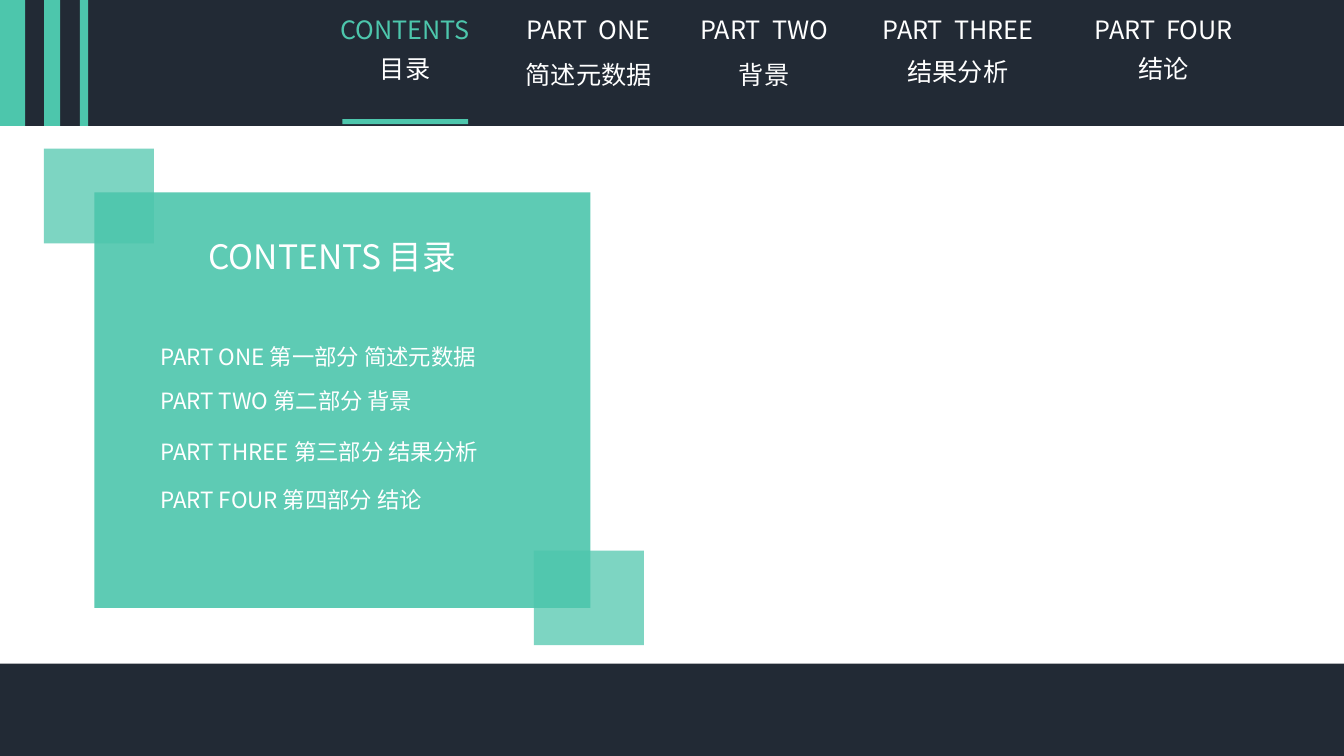
import pptx
import pptx.dml.color
import pptx.enum.shapes
import pptx.enum.text
import pptx.oxml.ns
import pptx.oxml.xmlchemy
import pptx.util

Pt = pptx.util.Pt
TEAL, DARK, WHITE = "4DC6AC", "222A35", "FFFFFF"
SANS, COMIC = "Noto Sans CJK SC", "Comic Neue"
ALIGN = pptx.enum.text.PP_ALIGN


def add_block(left, top, width, height, color, opacity=100):
    shape = slide.shapes.add_shape(
        pptx.enum.shapes.MSO_SHAPE.RECTANGLE, Pt(left), Pt(top), Pt(width), Pt(height))
    shape.shadow.inherit = False
    shape.line.fill.background()
    shape.fill.solid()
    shape.fill.fore_color.rgb = pptx.dml.color.RGBColor.from_string(color)
    if opacity < 100:
        color_element = shape.element.spPr.find(".//" + pptx.oxml.ns.qn("a:srgbClr"))
        alpha = pptx.oxml.xmlchemy.OxmlElement("a:alpha")
        alpha.set("val", str(opacity * 1000))
        color_element.append(alpha)


def add_run(paragraph, text, size, color=WHITE, name=SANS):
    run = paragraph.add_run()
    run.text = text
    run.font.color.rgb = pptx.dml.color.RGBColor.from_string(color)
    for attribute, value in {"size": Pt(size), "name": name, "bold": False}.items():
        setattr(run.font, attribute, value)
    east_asian = pptx.oxml.xmlchemy.OxmlElement("a:ea")
    east_asian.set("typeface", name)
    run._r.get_or_add_rPr().append(east_asian)


presentation = pptx.Presentation()
presentation.slide_width, presentation.slide_height = Pt(960), Pt(540)
slide = presentation.slides.add_slide(presentation.slide_layouts[1])
title, body = slide.shapes.title, slide.placeholders[1]

# Header and footer bands
add_block(0, 0, 960, 90, DARK)
add_block(0, 474, 960, 66, DARK)

# Stripes in the header and marker under the current section
for left, width in [(0, 18), (31.5, 11.5), (57, 6)]:
    add_block(left, 0, width, 90, TEAL)
add_block(244.5, 85, 90, 3.6, TEAL)

# Navigation: left, top, width, height, then name, color, spacing, label, spacing, font
sections = [
    (235.4, 0, 108, 64, "CONTENTS", TEAL, 1.3, "目录", 1.3, SANS),
    (366.5, -4.3, 108, 73, "PART  ONE", WHITE, 1.5, "简述元数据", 1.5, COMIC),
    (491.8, 0, 108, 96, "PART  TWO", WHITE, 1.3, "背景", 1.5, SANS),
    (617.8, 0, 133, 94, "PART  THREE", WHITE, 1.3, "结果分析", 1.4, SANS),
    (769, 0, 124.5, 92, "PART  FOUR", WHITE, 1.3, "结论", 1.3, SANS),
]
for left, top, width, height, name, color, spacing, label, label_spacing, font in sections:
    box = slide.shapes.add_textbox(Pt(left), Pt(top), Pt(width), Pt(height))
    frame = box.text_frame
    frame.word_wrap = True
    frame.auto_size = pptx.enum.text.MSO_AUTO_SIZE.SHAPE_TO_FIT_TEXT
    first, second = frame.paragraphs[0], frame.add_paragraph()
    for paragraph, line_spacing in [(first, spacing), (second, label_spacing)]:
        paragraph.alignment = ALIGN.CENTER
        paragraph.line_spacing = line_spacing
    add_run(first, name, 18, color)
    add_run(second, label, 18, WHITE, font)

# Contents panel with two corner squares
add_block(67.4, 137.4, 354.3, 296.8, TEAL, 90)
for left, top in [(381.4, 393.3), (31.4, 106.2)]:
    add_block(left, top, 78.5, 67.6, TEAL, 73)

# Title and list placeholders, brought in front of the panel
for placeholder, left, top, width, height in [
        (title, 141.8, 164.9, 206, 36), (body, 107.3, 241.2, 296, 146)]:
    bounds = {"left": left, "top": top, "width": width, "height": height}
    for attribute, value in bounds.items():
        setattr(placeholder, attribute, Pt(value))
    frame = placeholder.text_frame
    frame_format = {"word_wrap": True,
                    "auto_size": pptx.enum.text.MSO_AUTO_SIZE.NONE,
                    "vertical_anchor": pptx.enum.text.MSO_ANCHOR.TOP}
    for attribute, value in frame_format.items():
        setattr(frame, attribute, value)
    placeholder.element.getparent().append(placeholder.element)

title.text_frame.paragraphs[0].alignment = ALIGN.LEFT
add_run(title.text_frame.paragraphs[0], "CONTENTS 目录", 24)

# Contents list: gap above, then runs with their fonts
parts = [
    (0, [("PART ONE 第一部分 ", SANS), ("简述元数据", COMIC)]),
    (12.5, [("PART TWO 第二部分 背景", SANS)]),
    (17.5, [("PART THREE 第三部分 结果分析", SANS)]),
    (14.7, [("PART FOUR 第四部分 结论", SANS)]),
]
for index, (gap, runs) in enumerate(parts):
    frame = body.text_frame
    paragraph = frame.add_paragraph() if index else frame.paragraphs[0]
    properties = paragraph._p.get_or_add_pPr()
    properties.set("marL", "0")
    properties.set("indent", "0")
    properties.append(pptx.oxml.xmlchemy.OxmlElement("a:buNone"))
    paragraph.space_before = Pt(gap)
    for text, font in runs:
        add_run(paragraph, text, 16, WHITE, font)

presentation.save("out.pptx")
